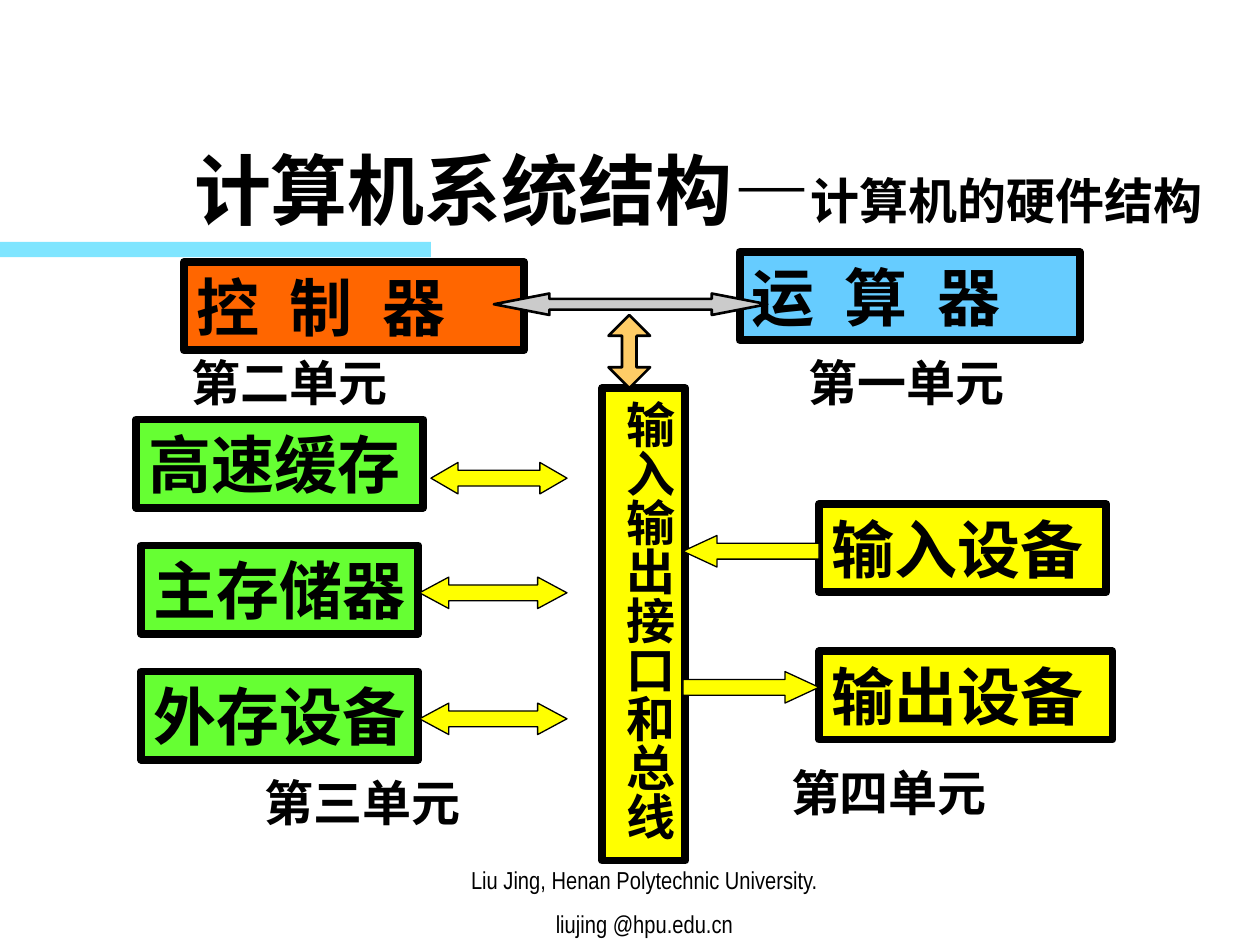
from dataclasses import dataclass

from lxml import etree
from pptx import Presentation
from pptx.dml.color import RGBColor
from pptx.enum.shapes import MSO_SHAPE
from pptx.enum.text import MSO_ANCHOR, MSO_AUTO_SIZE, PP_ALIGN
from pptx.oxml.ns import qn
from pptx.util import Inches, Pt

RECTANGLE = MSO_SHAPE.RECTANGLE
LEFT_ARROW = MSO_SHAPE.LEFT_ARROW
RIGHT_ARROW = MSO_SHAPE.RIGHT_ARROW
LEFT_RIGHT_ARROW = MSO_SHAPE.LEFT_RIGHT_ARROW
UP_DOWN_ARROW = MSO_SHAPE.UP_DOWN_ARROW
TOP, MIDDLE, BOTTOM = MSO_ANCHOR.TOP, MSO_ANCHOR.MIDDLE, MSO_ANCHOR.BOTTOM
LEFT, CENTER = PP_ALIGN.LEFT, PP_ALIGN.CENTER
NO_AUTOFIT = MSO_AUTO_SIZE.NONE
TITLE_ONLY = 5


@dataclass(frozen=True)
class Theme:
    ink: str = "000000"
    accent: str = "00CCFF"
    control: str = "FF6600"
    arithmetic: str = "66CCFF"
    memory: str = "66FF33"
    transfer: str = "FFFF00"
    link: str = "CBCBCB"
    bus_link: str = "FFCC66"
    title_font: str = "Karla"
    body_font: str = "Times New Roman"
    footer_font: str = "Arial Narrow"
    title_size: int = 44
    unit_size: int = 36
    label_size: int = 28
    footer_size: int = 14
    border: float = 4.5
    thin: float = 0.75
    medium: float = 1.5


class SlideBuilder:
    def __init__(self, theme, slide):
        self.theme = theme
        self.slide = slide

    def style_font(self, font, name, size, bold=True):
        font.name = name
        font.size = Pt(size)
        font.bold = bold
        font.color.rgb = RGBColor.from_string(self.theme.ink)

    def set_frame(self, frame, anchor=TOP, right=0.02):
        frame.word_wrap = True
        frame.auto_size = NO_AUTOFIT
        frame.vertical_anchor = anchor
        frame.margin_left, frame.margin_right = Inches(0.1), Inches(right)
        frame.margin_top = frame.margin_bottom = Inches(0.05)

    def shape(self, kind, place, fill, line_width=None):
        shape = self.slide.shapes.add_shape(kind, *map(Inches, place))
        shape.shadow.inherit = False
        shape.fill.solid()
        shape.fill.fore_color.rgb = RGBColor.from_string(fill)
        if line_width is None:
            shape.line.fill.background()
        else:
            shape.line.color.rgb = RGBColor.from_string(self.theme.ink)
            shape.line.width = Pt(line_width)
        return shape

    def title(self, place, spans):
        title = self.slide.shapes.title
        title.left, title.top, title.width, title.height = map(Inches, place)
        self.set_frame(title.text_frame, MIDDLE, right=0.1)
        para = title.text_frame.paragraphs[0]
        para.alignment = CENTER
        for text, name, size in spans:
            span = para.add_run()
            span.text = text
            self.style_font(span.font, name, size)

    def accent_bar(self, place, opacity):
        bar = self.shape(RECTANGLE, place, self.theme.accent)
        color = bar.fill._xPr.find(qn("a:solidFill"))[0]
        etree.SubElement(color, qn("a:alpha")).set("val", str(opacity * 1000))

    def unit(self, text, place, fill, spacing=0):
        box = self.shape(RECTANGLE, place, fill, self.theme.border)
        self.set_frame(box.text_frame)
        para = box.text_frame.paragraphs[0]
        para.alignment = LEFT
        span = para.add_run()
        span.text = text
        self.style_font(para.font, self.theme.body_font, self.theme.unit_size)
        if spacing:
            span._r.get_or_add_rPr().set("spc", str(int(spacing * 100)))

    def bus(self, text, place):
        box = self.shape(RECTANGLE, place, self.theme.transfer, self.theme.border)
        frame = box.text_frame
        self.set_frame(frame)
        frame.margin_left = frame.margin_right = Inches(0.05)
        frame.margin_top = frame.margin_bottom = Inches(0.1)
        frame._txBody.bodyPr.set("vert", "eaVert")
        para = frame.paragraphs[0]
        para.text = text
        para.alignment = LEFT
        self.style_font(para.font, self.theme.body_font, self.theme.label_size)

    def label(self, text, left, top, width=1.75):
        box = self.slide.shapes.add_textbox(*map(Inches, (left, top, width, 0.57)))
        self.set_frame(box.text_frame)
        para = box.text_frame.paragraphs[0]
        para.text = text
        self.style_font(para.font, self.theme.body_font, self.theme.label_size)

    def arrow(self, kind, place, head, fill, line_width):
        arrow = self.shape(kind, place, fill, line_width)
        arrow.adjustments[0] = 0.5
        arrow.adjustments[1] = head

    def footer(self, lines, place):
        box = self.slide.shapes.add_textbox(*map(Inches, place))
        frame = box.text_frame
        self.set_frame(frame, BOTTOM, right=0.1)
        for index, text in enumerate(lines):
            para = frame.add_paragraph() if index else frame.paragraphs[0]
            para.text = text
            para.alignment = CENTER
            para.space_before = Pt(8.8 if index else 0)
            self.style_font(
                para.font, self.theme.footer_font, self.theme.footer_size, False
            )


def main():
    deck = Presentation()
    deck.slide_width, deck.slide_height = Inches(10), Inches(7.5)
    page = deck.slides.add_slide(deck.slide_layouts[TITLE_ONLY])
    theme = Theme()
    builder = SlideBuilder(theme, page)

    builder.accent_bar((0, 1.92, 3.42, 0.12), 50)
    builder.title((1.08, 1.08, 8.92, 0.84), [
        ("计算机系统结构", theme.title_font, theme.title_size),
        ("—", theme.body_font, theme.title_size),
        ("计算机的硬件结构", theme.title_font, theme.label_size),
    ])
    builder.footer(
        ["Liu Jing, Henan Polytechnic University.", "liujing @hpu.edu.cn"],
        (3.03, 6.75, 4.17, 0.75),
    )

    builder.bus("输入输出接口和总线", (4.78, 3.08, 0.66, 3.75))
    builder.unit("控 制 器", (1.46, 2.08, 2.7, 0.7), theme.control, spacing=4.5)
    builder.unit("运 算 器", (5.87, 2, 2.7, 0.7), theme.arithmetic, spacing=4.5)

    memories = [
        ("高速缓存", 1.08, 2.28, 3.42, 0.34, 0.86),
        ("主存储器", 1.12, 2.2, 3.33, 0.25, 0.93),
        ("外存设备", 1.12, 2.2, 3.33, 0.25, 0.93),
    ]
    for row, (text, left, width, start, drop, head) in enumerate(memories):
        top = 3.33 + row
        builder.unit(text, (left, top, width, 0.7), theme.memory)
        builder.arrow(LEFT_RIGHT_ARROW, (start, top + drop, 4.5 - start, 0.25),
                      head, theme.transfer, theme.thin)

    devices = [
        ("输入设备", 4, 2.28, LEFT_ARROW, 4.25),
        ("输出设备", 5.17, 2.33, RIGHT_ARROW, 5.33),
    ]
    for text, top, width, kind, arrow_top in devices:
        builder.unit(text, (6.5, top, width, 0.7), theme.transfer)
        builder.arrow(kind, (5.42, arrow_top, 1.08, 0.25), 1.08,
                      theme.transfer, theme.thin)

    builder.label("第一单元", 6.32, 2.75)
    builder.label("第二单元", 1.42, 2.75, 1.77)
    builder.label("第三单元", 2, 6.08, 1.94)
    builder.label("第四单元", 6.18, 6)

    builder.arrow(LEFT_RIGHT_ARROW, (3.92, 2.33, 2.17, 0.17), 2.59,
                  theme.link, theme.medium)
    builder.arrow(UP_DOWN_ARROW, (4.83, 2.5, 0.33, 0.58), 0.35,
                  theme.bus_link, theme.medium)

    deck.save("out.pptx")


if __name__ == "__main__":
    main()
